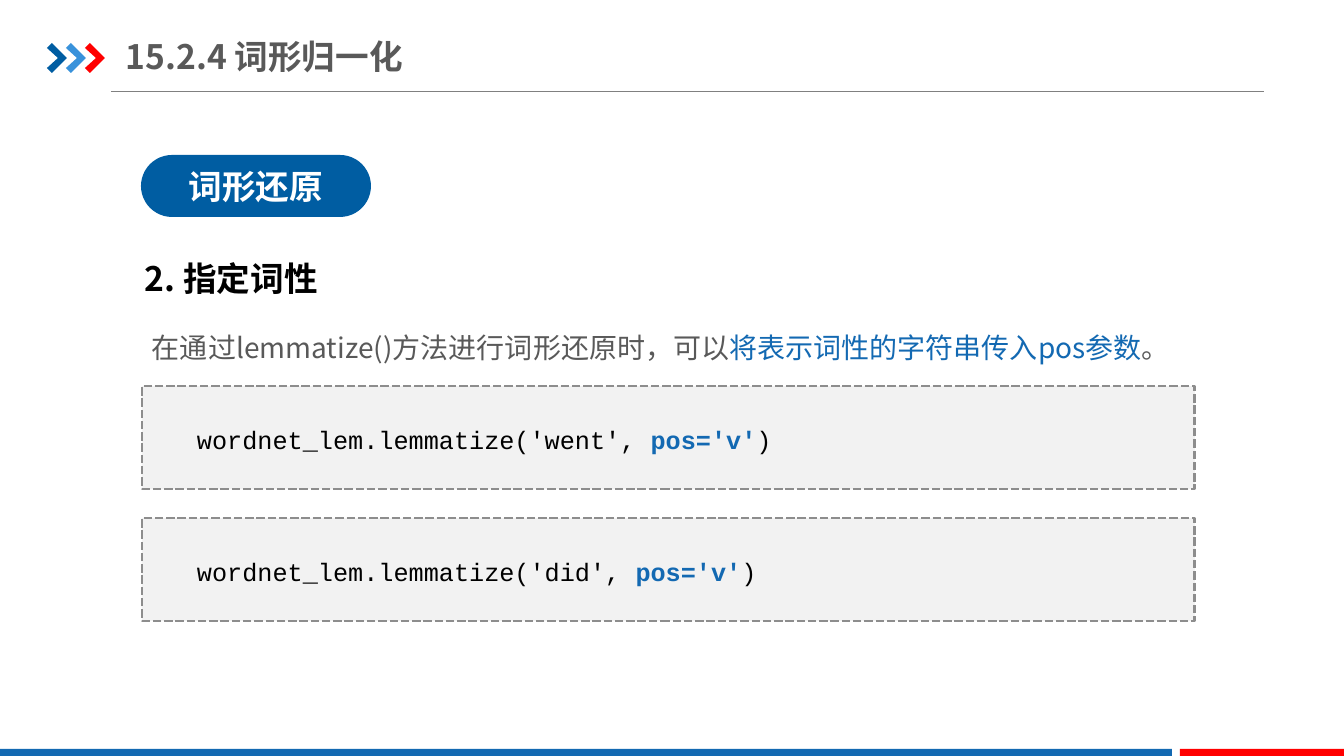
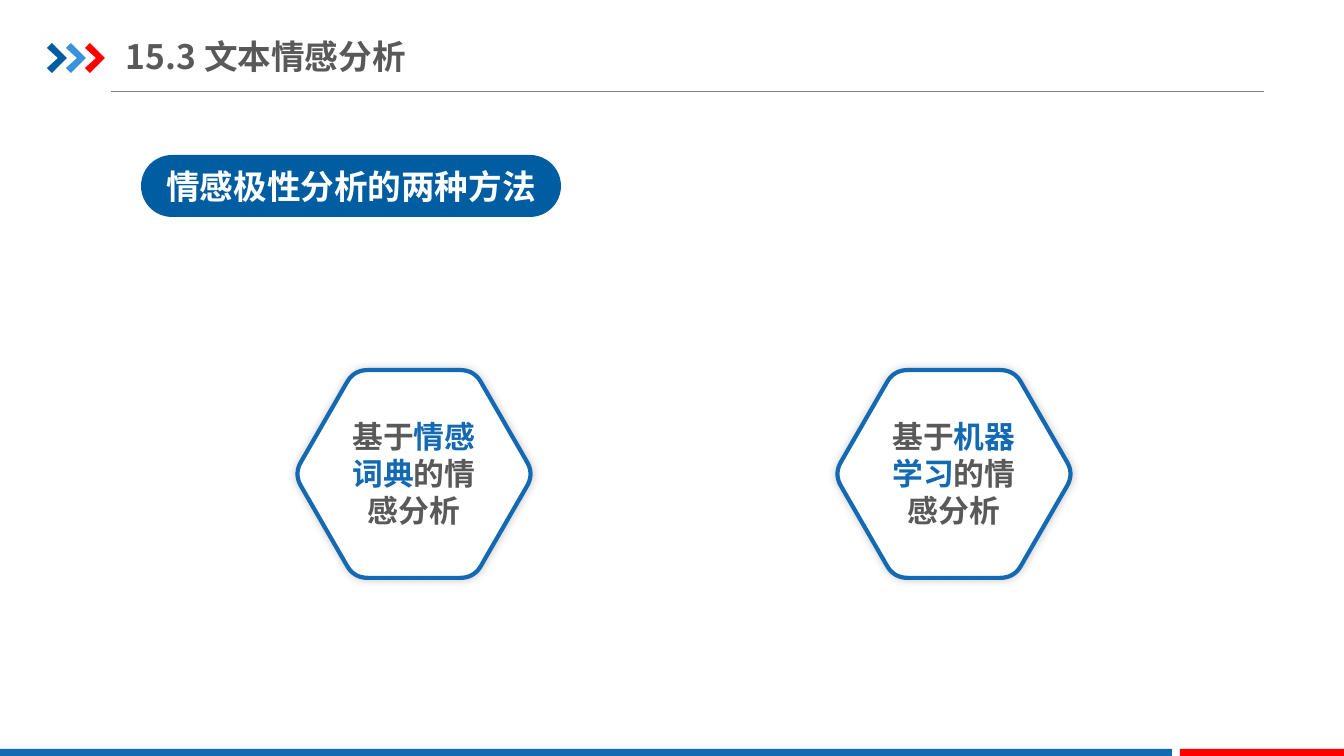
import math
from dataclasses import dataclass

from lxml import etree
from pptx import Presentation
from pptx import util as u
from pptx.dml.color import RGBColor
from pptx.enum import dml, shapes, text
from pptx.oxml.ns import qn

EMU_PER_PX = 914400 / 100.8
SLIDE_WIDTH, SLIDE_HEIGHT = 1344, 756
SANS, MONO = "Noto Sans CJK SC", "Courier New"
COLORS = {
    "navy": "005DA2", "sky": "3992DB", "red": "FF0000", "blue": "1369B2",
    "text": "595959", "rule": "808080", "panel": "F2F2F2", "dash": "8D8D8D",
    "white": "FFFFFF", "black": "000000",
}


@dataclass(frozen=True)
class Box:
    left: int
    top: int
    width: int
    height: int


@dataclass(frozen=True)
class Run:
    text: str
    color: str = "text"
    bold: bool = False


@dataclass(frozen=True)
class Style:
    size: int
    font: str = SANS
    align: text.PP_ALIGN = text.PP_ALIGN.LEFT
    anchor: text.MSO_ANCHOR = text.MSO_ANCHOR.TOP
    insets: tuple[int, int, int, int] = (10, 5, 10, 5)
    spacing: float = 1.0
    wrap: bool = True


MIDDLE, CENTER = text.MSO_ANCHOR.MIDDLE, text.PP_ALIGN.CENTER
TITLE = Style(24, anchor=MIDDLE, insets=(0, 7, 0, 7))
PILL = Style(24, align=CENTER, anchor=MIDDLE)
HEADING = Style(24, wrap=False)
BODY = Style(20, spacing=1.5)
CODE = Style(18, MONO, anchor=MIDDLE, insets=(55, 5, 10, 5), spacing=1.15)
HEXAGON_LABEL = Style(22, align=CENTER, insets=(0, 0, 0, 0))

# Shared header and footer geometry
TITLE_BOX = Box(126, 29, 492, 55)
CHEVRON = [(0, 5), (5, 0), (20, 15), (5, 30), (0, 25), (11, 15)]
CHEVRON_LEFT, CHEVRON_TOP, CHEVRON_STEP = 47, 43, 19
FOOTER_BANDS = [(Box(0, 749, 1172, 7), "blue"), (Box(1180, 749, 164, 7), "red")]


def px(length: float) -> u.Emu:
    return u.Emu(round(length * EMU_PER_PX))


def rgb(name: str) -> RGBColor:
    return RGBColor.from_string(COLORS[name])


def place(box: Box) -> tuple:
    return px(box.left), px(box.top), px(box.width), px(box.height)


def write(shape, runs: list[Run], style: Style) -> None:
    frame = shape.text_frame
    frame.auto_size = text.MSO_AUTO_SIZE.NONE
    frame.word_wrap = style.wrap
    frame.vertical_anchor = style.anchor
    (frame.margin_left, frame.margin_top,
     frame.margin_right, frame.margin_bottom) = map(px, style.insets)
    paragraph = frame.paragraphs[0]
    paragraph.alignment = style.align
    paragraph.line_spacing = style.spacing
    for part in runs:
        run = paragraph.add_run()
        run.text = part.text
        font = run.font
        font.name, font.size, font.bold = style.font, u.Pt(style.size), part.bold
        font.color.rgb = rgb(part.color)
        east_asian = etree.SubElement(run._r.get_or_add_rPr(), qn("a:ea"))
        east_asian.set("typeface", style.font)


def paint(shape, fill: str) -> None:
    shape.shadow.inherit = False
    shape.fill.solid()
    shape.fill.fore_color.rgb = rgb(fill)
    shape.line.fill.background()


def outline(shape, color: str, width: float) -> None:
    shape.line.color.rgb = rgb(color)
    shape.line.width = u.Pt(width)


def add_filled(slide, kind: shapes.MSO_SHAPE, box: Box, fill: str):
    shape = slide.shapes.add_shape(kind, *place(box))
    paint(shape, fill)
    return shape


def add_text(slide, box: Box, runs: list[Run], style: Style) -> None:
    write(slide.shapes.add_textbox(*place(box)), runs, style)


def add_outline(slide, points: list[tuple[float, float]], fill: str):
    start, *rest = [(px(x), px(y)) for x, y in points]
    builder = slide.shapes.build_freeform(*start, scale=1.0)
    builder.add_line_segments(rest, close=True)
    shape = builder.convert_to_shape()
    paint(shape, fill)
    return shape


def add_base_slide(presentation, title: str):
    """Add a slide with its title, header marks and footer bands."""
    slide = presentation.slides.add_slide(presentation.slide_layouts[5])
    heading = slide.shapes.title
    heading.left, heading.top, heading.width, heading.height = place(TITLE_BOX)
    write(heading, [Run(title, bold=True)], TITLE)

    rule = slide.shapes.add_connector(
        shapes.MSO_CONNECTOR.STRAIGHT, px(111), px(91.5), px(1264), px(91.5))
    outline(rule, "rule", 0.75)
    etree.SubElement(rule._element.spPr, qn("a:effectLst"))

    for index, color in enumerate(("navy", "sky", "red")):
        left = CHEVRON_LEFT + index * CHEVRON_STEP
        add_outline(slide, [(left + x, CHEVRON_TOP + y) for x, y in CHEVRON], color)
    for box, color in FOOTER_BANDS:
        add_filled(slide, shapes.MSO_SHAPE.RECTANGLE, box, color)
    return slide


def add_pill(slide, label: str, width: int) -> None:
    pill = add_filled(slide, shapes.MSO_SHAPE.ROUNDED_RECTANGLE,
                      Box(141, 155, width, 62), "navy")
    pill.adjustments[0] = 0.5
    write(pill, [Run(label, "white", True)], PILL)


def add_code_panel(slide, top: int, word: str) -> None:
    panel = add_filled(slide, shapes.MSO_SHAPE.RECTANGLE,
                       Box(142, top, 1053, 103), "panel")
    outline(panel, "dash", 2)
    panel.line.dash_style = dml.MSO_LINE.SQUARE_DOT
    write(panel, [Run(f"wordnet_lem.lemmatize('{word}', ", "black"),
                  Run("pos='v'", "blue", True), Run(")", "black")], CODE)


def rounded_hexagon(center_x: int, center_y: int, radius: int,
                    cut: int, steps: int = 10) -> list[tuple[float, float]]:
    """Outline of a hexagon whose corners are quadratic curves."""
    corners = [(center_x + radius * math.cos(math.radians(60 * k)),
                center_y + radius * math.sin(math.radians(60 * k)))
               for k in range(6)]
    points = []
    for k, corner in enumerate(corners):
        before, after = (
            tuple(c + (n - c) * cut / radius for c, n in zip(corner, neighbor))
            for neighbor in (corners[k - 1], corners[(k + 1) % 6]))
        for step in range(steps + 1):
            t = step / steps
            points.append(tuple(
                (1 - t) ** 2 * b + 2 * t * (1 - t) * c + t ** 2 * a
                for b, c, a in zip(before, corner, after)))
    return points


def add_soft_shadow(shape) -> None:
    effects = shape._element.spPr.find(qn("a:effectLst"))
    shadow = etree.SubElement(effects, qn("a:outerShdw"), blurRad=str(u.Pt(6)),
                              dist="0", dir=str(315 * 60000), rotWithShape="0")
    color = etree.SubElement(shadow, qn("a:srgbClr"), val=COLORS["black"])
    etree.SubElement(color, qn("a:alpha"), val="20000")


def add_method(slide, center_x: int, basis: str) -> None:
    center_y = 474
    hexagon = add_outline(slide, rounded_hexagon(center_x, center_y, 120, 14), "white")
    outline(hexagon, "blue", 3)
    add_soft_shadow(hexagon)
    add_text(slide, Box(center_x - 76, center_y - 56, 152, 112),
             [Run("基于", bold=True), Run(basis, "blue", True),
              Run("的情感分析", bold=True)], HEXAGON_LABEL)


def build_lemmatization(presentation) -> None:
    slide = add_base_slide(presentation, "15.2.4 词形归一化")
    add_pill(slide, "词形还原", 230)
    add_text(slide, Box(135, 253, 209, 50),
             [Run("2. 指定词性", "black", True)], HEADING)
    add_text(slide, Box(142, 309, 1053, 61),
             [Run("在通过lemmatize()方法进行词形还原时，可以"),
              Run("将表示词性的字符串传入pos参数", "blue"), Run("。")], BODY)
    for index, word in enumerate(("went", "did")):
        add_code_panel(slide, 386 + index * 132, word)


def build_sentiment(presentation) -> None:
    slide = add_base_slide(presentation, "15.3 文本情感分析")
    add_pill(slide, "情感极性分析的两种方法", 420)
    for index, basis in enumerate(("情感词典", "机器学习")):
        add_method(slide, 414 + index * 540, basis)


def main() -> None:
    presentation = Presentation()
    presentation.slide_width = px(SLIDE_WIDTH)
    presentation.slide_height = px(SLIDE_HEIGHT)
    build_lemmatization(presentation)
    build_sentiment(presentation)
    presentation.save("out.pptx")


if __name__ == "__main__":
    main()
